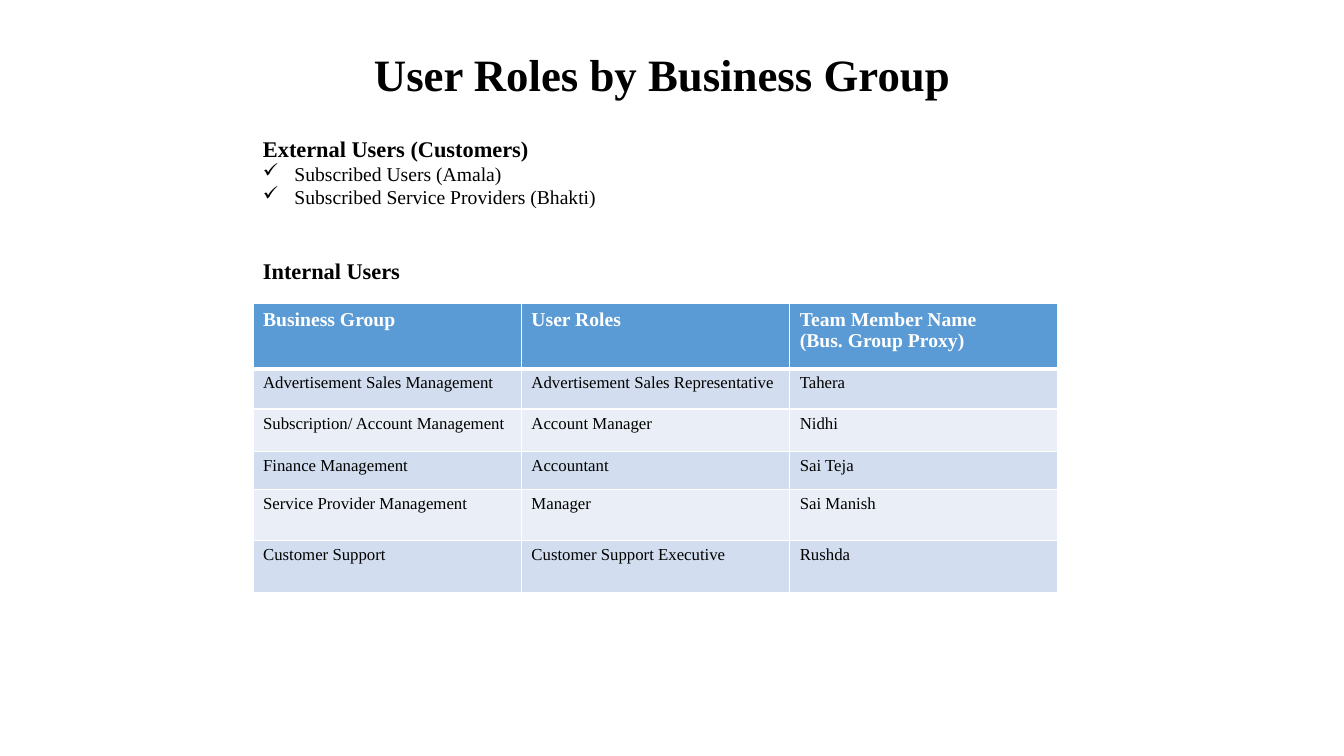
from dataclasses import dataclass

from lxml import etree
from pptx import Presentation
from pptx import util as u
from pptx.dml import color
from pptx.enum import text
from pptx.oxml import ns

FONT = "Times New Roman"
COLORS = {
    "ink": "000000",
    "white": "FFFFFF",
    "header": "5B9BD5",
    "odd": "D2DEEF",
    "even": "EAEFF7",
}
LEFT = 180.75
INDENT = 22.5


@dataclass
class Line:
    content: str
    size: float
    bold: bool = False
    color: str = "ink"
    bullet: str = ""


@dataclass
class TextBlock:
    top: float
    width: float
    height: float
    lines: list[Line]


@dataclass
class Row:
    height: float
    cells: tuple[str, str, str]


BLOCKS = [
    TextBlock(92.9, 254, 60.5, [
        Line("External Users (Customers)", 16, True),
        Line("Subscribed Users (Amala)", 14, bullet="✓"),
        Line("Subscribed Service Providers (Bhakti)", 14, bullet="✓"),
    ]),
    TextBlock(180, 114, 26.6, [Line("Internal Users", 16, True)]),
]

ROWS = [
    Row(46.5, ("Business Group", "User Roles", "Team Member Name\n(Bus. Group Proxy)")),
    Row(28.8, ("Advertisement Sales Management", "Advertisement Sales Representative", "Tahera")),
    Row(30.2, ("Subscription/ Account Management", "Account Manager", "Nidhi")),
    Row(27.4, ("Finance Management", "Accountant", "Sai Teja")),
    Row(36.5, ("Service Provider Management", "Manager", "Sai Manish")),
    Row(37.2, ("Customer Support", "Customer Support Executive", "Rushda")),
]
COLUMN_WIDTH = 191.7


def rgb(name: str) -> color.RGBColor:
    return color.RGBColor.from_string(COLORS[name])


def add_bullet(paragraph, character: str) -> None:
    properties = paragraph._p.get_or_add_pPr()
    properties.set("marL", str(u.Pt(INDENT)))
    properties.set("indent", str(-u.Pt(INDENT)))
    etree.SubElement(properties, ns.qn("a:buChar")).set("char", character)


def write_lines(frame, lines: list[Line], alignment=text.PP_ALIGN.LEFT) -> None:
    for index, line in enumerate(lines):
        paragraph = frame.add_paragraph() if index else frame.paragraphs[0]
        paragraph.alignment = alignment
        if line.bullet:
            add_bullet(paragraph, line.bullet)
        run = paragraph.add_run()
        run.text = line.content
        run.font.name = FONT
        run.font.size = u.Pt(line.size)
        run.font.bold = line.bold
        run.font.color.rgb = rgb(line.color)


def add_text_block(slide, block: TextBlock) -> None:
    shape = slide.shapes.add_textbox(
        u.Pt(LEFT), u.Pt(block.top), u.Pt(block.width), u.Pt(block.height))
    frame = shape.text_frame
    frame.word_wrap = False
    frame.auto_size = text.MSO_AUTO_SIZE.SHAPE_TO_FIT_TEXT
    write_lines(frame, block.lines)


def set_borders(cell, widths: dict[str, float]) -> None:
    properties = cell._tc.get_or_add_tcPr()
    for position, (side, width) in enumerate(widths.items()):
        border = etree.Element(ns.qn(f"a:ln{side}"), w=str(u.Pt(width)))
        fill = etree.SubElement(border, ns.qn("a:solidFill"))
        etree.SubElement(fill, ns.qn("a:srgbClr")).set("val", COLORS["white"])
        properties.insert(position, border)


def add_role_table(slide, rows: list[Row]) -> None:
    columns = len(rows[0].cells)
    table = slide.shapes.add_table(
        len(rows), columns, u.Pt(LEFT), u.Pt(216.9),
        u.Pt(COLUMN_WIDTH * columns), u.Pt(sum(row.height for row in rows))).table
    for column in table.columns:
        column.width = u.Pt(COLUMN_WIDTH)
    for index, row in enumerate(rows):
        table.rows[index].height = u.Pt(row.height)
        header = index == 0
        fill = "header" if header else "odd" if index % 2 else "even"
        borders = {"L": 1, "R": 1, "T": 3 if index == 1 else 1, "B": 3 if header else 1}
        for column_index, content in enumerate(row.cells):
            cell = table.cell(index, column_index)
            cell.fill.solid()
            cell.fill.fore_color.rgb = rgb(fill)
            set_borders(cell, borders)
            size, ink = (14, "white") if header else (12, "ink")
            write_lines(cell.text_frame, [
                Line(part, size, header, ink) for part in content.split("\n")])


presentation = Presentation()
presentation.slide_width, presentation.slide_height = u.Pt(960), u.Pt(540)
slide = presentation.slides.add_slide(presentation.slide_layouts[5])

# Title
title = slide.shapes.title
title.left, title.top, title.width, title.height = (
    u.Pt(108.7), u.Pt(29.5), u.Pt(728.6), u.Pt(46))
title.text_frame.word_wrap = True
title.text_frame.auto_size = text.MSO_AUTO_SIZE.SHAPE_TO_FIT_TEXT
write_lines(title.text_frame, [Line("User Roles by Business Group", 32, True)],
            text.PP_ALIGN.CENTER)

# Internal users table
add_role_table(slide, ROWS)

# User group headings and lists
for block in BLOCKS:
    add_text_block(slide, block)

presentation.save("out.pptx")
